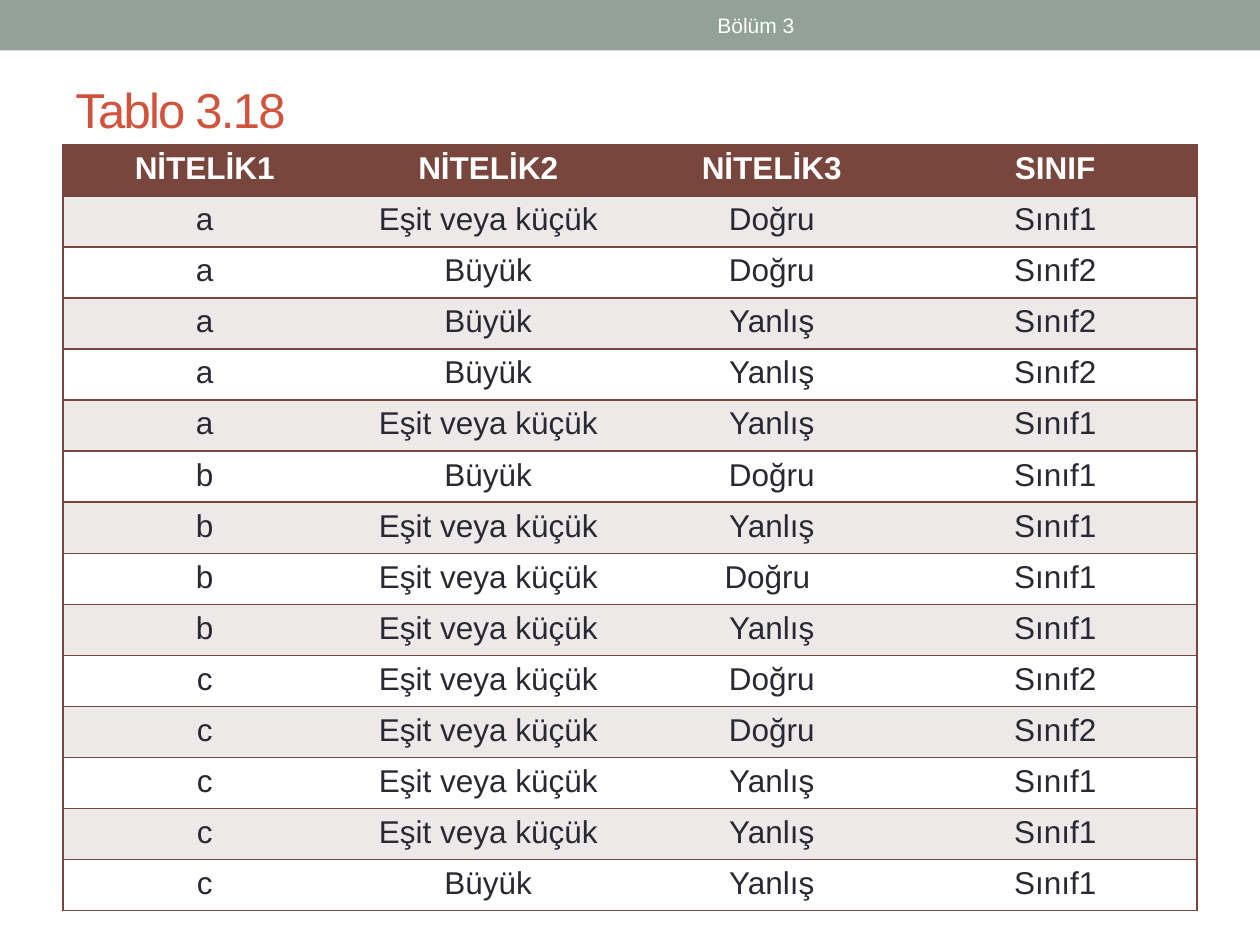
"""Build a slide with a banded table of attributes and classes."""
from lxml import etree
from pptx import Presentation
from pptx import util as u
from pptx.dml.color import RGBColor
from pptx.enum import shapes, text
from pptx.oxml import ns

THEME = {
    "font": "Arial", "bar": "93A299", "title": "D2533C", "head": "79463D",
    "ink": "292934", "band": "ECE9E8", "white": "FFFFFF",
    "big": 28, "mid": 18, "small": 12, "line": 1,
}
HEAD = ("NİTELİK1", "NİTELİK2", "NİTELİK3", "SINIF")
LOW, HIGH = "Eşit veya küçük", "Büyük"
YES, NO = "Doğru", "Yanlış"
ONE, TWO = "Sınıf1", "Sınıf2"
ROWS = [
    ("a", LOW, YES, ONE),
    ("a", HIGH, YES, TWO),
    ("a", HIGH, NO, TWO),
    ("a", HIGH, NO, TWO),
    ("a", LOW, NO, ONE),
    ("b", HIGH, YES, ONE),
    ("b", LOW, NO, ONE),
    ("b", LOW, YES + " ", ONE),
    ("b", LOW, NO, ONE),
    ("c", LOW, YES, TWO),
    ("c", LOW, YES, TWO),
    ("c", LOW, NO, ONE),
    ("c", LOW, NO, ONE),
    ("c", HIGH, NO, ONE),
]
CENTER = text.PP_ALIGN.CENTER
WIDE, HIGH_IN = 9, 6.08


def paint(fill, key):
    fill.solid()
    fill.fore_color.rgb = RGBColor.from_string(THEME[key])


def style(para, size, key, bold=False, align=None):
    para.alignment = align
    font = para.font
    font.name, font.size, font.bold = THEME["font"], u.Pt(THEME[size]), bold
    font.color.rgb = RGBColor.from_string(THEME[key])


def label(slide, box, words, size, key, align=None):
    frame = slide.shapes.add_textbox(*map(u.Inches, box)).text_frame
    frame.word_wrap = True
    frame.vertical_anchor = text.MSO_ANCHOR.MIDDLE
    para = frame.paragraphs[0]
    para.text = words
    style(para, size, key, align=align)
    return para


def edge(cell, side, shown):
    line = etree.SubElement(cell._tc.get_or_add_tcPr(), ns.qn("a:ln" + side))
    line.set("w", str(u.Pt(THEME["line"])))
    if shown:
        fill = etree.SubElement(line, ns.qn("a:solidFill"))
        etree.SubElement(fill, ns.qn("a:srgbClr")).set("val", THEME["head"])
    else:
        etree.SubElement(line, ns.qn("a:noFill"))


def grid(slide):
    data = [HEAD] + ROWS
    count, last = len(data), len(HEAD) - 1
    box = map(u.Inches, (0.5, 1.15, WIDE, HIGH_IN))
    table = slide.shapes.add_table(count, len(HEAD), *box).table
    table.horz_banding = False
    for row, words in enumerate(data):
        table.rows[row].height = u.Inches(HIGH_IN / count)
        back = "head" if row == 0 else "band" if row % 2 else "white"
        ink = "ink" if row else "white"
        for col, word in enumerate(words):
            cell = table.cell(row, col)
            sides = {"L": col == 0, "R": col == last, "T": True, "B": True}
            for side, shown in sides.items():
                edge(cell, side, shown)
            paint(cell.fill, back)
            cell.text = word
            para = cell.text_frame.paragraphs[0]
            style(para, "mid", ink, row == 0, CENTER)


def main():
    deck = Presentation()
    deck.slide_width, deck.slide_height = u.Inches(10), u.Inches(7.5)
    slide = deck.slides.add_slide(deck.slide_layouts[6])
    bar = slide.shapes.add_shape(
        shapes.MSO_SHAPE.RECTANGLE, 0, 0, deck.slide_width, u.Inches(0.4))
    bar.shadow.inherit = False
    paint(bar.fill, "bar")
    bar.line.fill.background()
    title = label(slide, (0.5, 0.58, 9, 0.57), "Tablo 3.18", "big", "title")
    title.runs[0]._r.get_or_add_rPr().set("spc", "-100")
    grid(slide)
    label(slide, (3.75, 0.02, 4.5, 0.36), "Bölüm 3", "small", "white", CENTER)
    deck.save("out.pptx")


if __name__ == "__main__":
    main()
